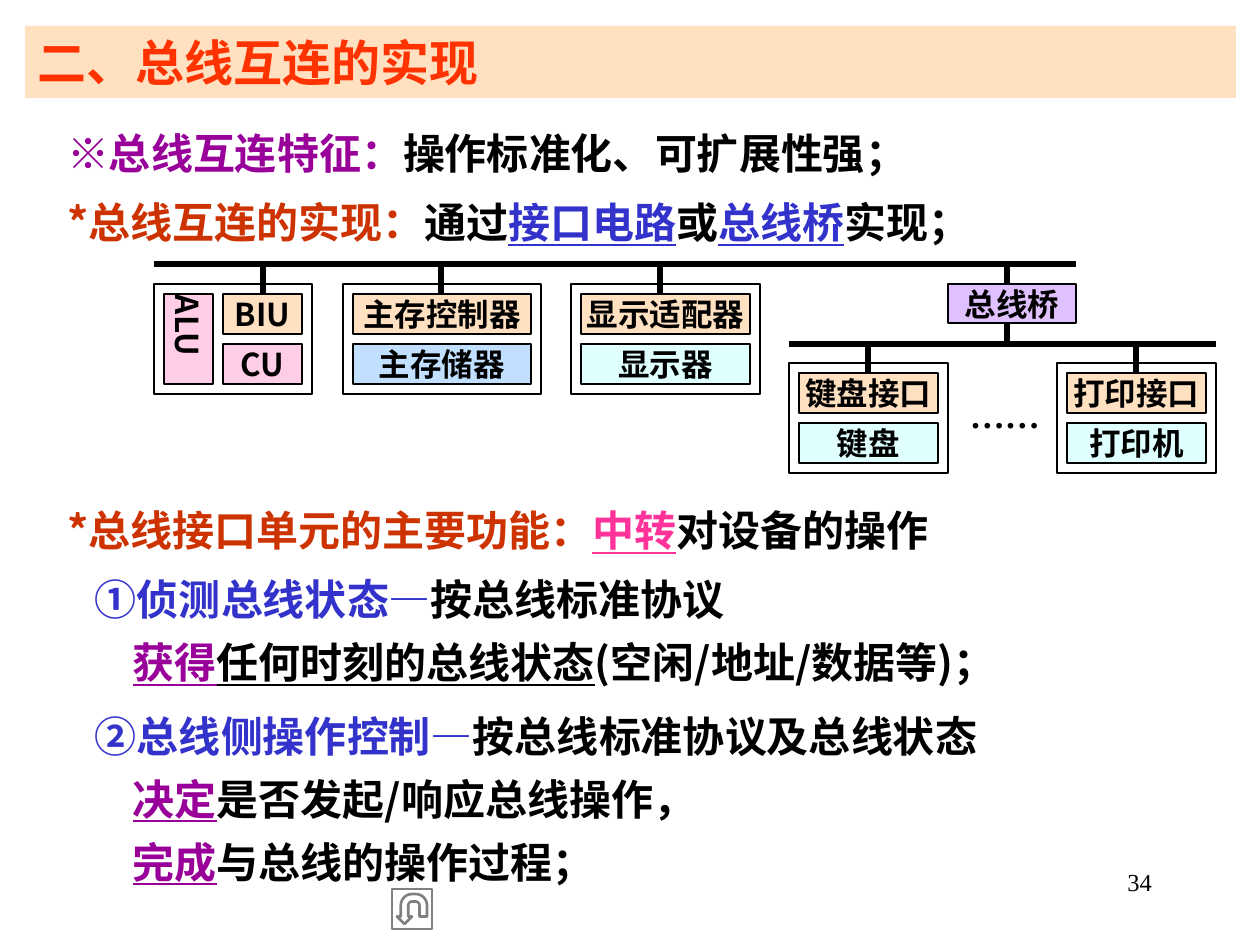
"""Build a slide on how bus interconnection is implemented."""
from pptx import Presentation
from pptx import util as u
from pptx.dml.color import RGBColor
from pptx.enum import shapes, text
from pptx.oxml import ns
from lxml import etree

PX = 914400 // 126
SANS, SERIF = "Noto Sans CJK SC", "Times New Roman"
BLACK, BLUE, PURPLE, RUST = "000000", "3333CC", "990099", "CC3300"
PEACH, PINK, AQUA, SKY, LILAC = "FFCC99", "FF99CC", "CCFFFF", "99CCFF", "CC99FF"
MIDDLE, TOP = text.MSO_ANCHOR.MIDDLE, text.MSO_ANCHOR.TOP
LEFT, CENTER, RIGHT = text.PP_ALIGN.LEFT, text.PP_ALIGN.CENTER, text.PP_ALIGN.RIGHT


def paint(fill, color, opacity=100):
    fill.solid()
    fill.fore_color.rgb = RGBColor.from_string(color)
    if opacity < 100:
        tint = fill._xPr.find(".//" + ns.qn("a:srgbClr"))
        etree.SubElement(tint, ns.qn("a:alpha")).set("val", str(opacity * 1000))


def write(box, lines, size, font=SANS, bold=True, align=LEFT, anchor=TOP,
          inset=(13, 6), spacing=None):
    """Fill a box with lines of (indent px, space before pt, [(text, colour, underline)])."""
    frame = box.text_frame
    frame.word_wrap = True
    frame.auto_size = text.MSO_AUTO_SIZE.NONE
    frame.vertical_anchor = anchor
    frame.margin_left = frame.margin_right = inset[0] * PX
    frame.margin_top = frame.margin_bottom = inset[1] * PX
    for number, (indent, before, spans) in enumerate(lines):
        para = frame.add_paragraph() if number else frame.paragraphs[0]
        para.alignment = align
        para.space_before = u.Pt(before)
        if spacing:
            para.line_spacing = u.Pt(spacing)
        props = para._p.get_or_add_pPr()
        props.set("marL", str(indent * PX))
        props.set("indent", "0")
        etree.SubElement(props, ns.qn("a:buNone"))
        for words, color, underline in spans:
            span = para.add_run()
            span.text = words
            span.font.size = u.Pt(size)
            span.font.bold = bold
            span.font.underline = underline
            span.font.name = font
            paint(span.font.fill, color)
            etree.SubElement(span.font._element, ns.qn("a:ea")).set("typeface", font)


deck = Presentation()
deck.slide_width, deck.slide_height = u.Inches(10), u.Inches(7.5)
page = deck.slides.add_slide(deck.slide_layouts[3])
title, features, functions = page.placeholders

for box, top, height in ((title, 26, 72), (features, 106, 145), (functions, 483, 407)):
    box.left, box.top, box.width, box.height = (n * PX for n in (25, top, 1211, height))

paint(title.fill, PEACH, 60)
write(title, [(0, 0, [("二、总线互连的实现", "FF3300", False)])], 28, anchor=MIDDLE)

write(features, [
    (29, 0, [("※总线互连特征：", PURPLE, False), ("操作标准化、可扩展性强；", BLACK, False)]),
    (29, 3.6, [("*总线互连的实现：", RUST, False), ("通过", BLACK, False),
               ("接口电路", BLUE, True), ("或", BLACK, False),
               ("总线桥", BLUE, True), ("实现；", BLACK, False)]),
], 24, inset=(13, 9), spacing=36)

write(functions, [
    (29, 0, [("*总线接口单元的主要功能：", RUST, False), ("中转", "FF3399", True),
             ("对设备的操作", BLACK, False)]),
    (57, 3.6, [("①侦测总线状态—", BLUE, False), ("按总线标准协议", BLACK, False)]),
    (95, 0, [("获得", PURPLE, True), ("任何时刻的总线状态", BLACK, True),
             ("(空闲/地址/数据等)；", BLACK, False)]),
    (57, 5.8, [("②总线侧操作控制—", BLUE, False),
               ("按总线标准协议及总线状态", BLACK, False)]),
    (95, 0, [("决定", PURPLE, True), ("是否发起/响应总线操作，", BLACK, False)]),
    (95, 0, [("完成", PURPLE, True), ("与总线的操作过程；", BLACK, False)]),
], 24, inset=(13, 9), spacing=36)

frames = [(154, 284, 158), (343, 284, 198), (571, 284, 189), (789, 363, 159), (1057, 363, 159)]
devices = [
    (213, 284, 99, "BIU", "CU", PINK),
    (343, 284, 198, "主存控制器", "主存储器", SKY),
    (571, 284, 189, "显示适配器", "显示器", AQUA),
    (789, 363, 159, "键盘接口", "键盘", AQUA),
    (1057, 363, 159, "打印接口", "打印机", AQUA),
]
blocks = [(left, top, width, 110, "", None, 100) for left, top, width in frames]
blocks += [(164, 294, 49, 90, "ALU", PINK, 49), (948, 284, 128, 39, "总线桥", LILAC, 60)]
for left, top, width, interface, device, color in devices:
    blocks.append((left + 10, top + 10, width - 20, 40, interface, PEACH, 60))
    blocks.append((left + 10, top + 60, width - 20, 40, device, color,
                   49 if color == PINK else 60))

for left, top, width, height, label, color, opacity in blocks:
    box = page.shapes.add_shape(shapes.MSO_SHAPE.RECTANGLE,
                                *(n * PX for n in (left, top, width, height)))
    box.shadow.inherit = False
    paint(box.line.fill, BLACK)
    box.line.width = u.Pt(1.5)
    if color:
        paint(box.fill, color, opacity)
        write(box, [(0, 0, [(label, BLACK, False)])], 18, align=CENTER,
              anchor=MIDDLE, inset=(2, 1))
    else:
        box.fill.background()
    if label == "ALU":
        box.text_frame._bodyPr.set("vert", "eaVert")

wires = [(154, 264, 1076, 264), (789, 344, 1216, 344), (1007, 264, 1007, 284),
         (1007, 324, 1007, 344)]
wires += [(x, 264, x, 294) for x in (263, 441, 660)]
wires += [(x, 344, x, 373) for x in (868, 1136)]
for ends in wires:
    wire = page.shapes.add_connector(shapes.MSO_CONNECTOR.STRAIGHT, *(n * PX for n in ends))
    paint(wire.line.fill, BLACK)
    wire.line.width = u.Pt(3)
    etree.SubElement(wire._element.spPr, ns.qn("a:effectLst"))

dots = page.shapes.add_textbox(*(n * PX for n in (968, 393, 100, 49)))
write(dots, [(0, 0, [("……", BLACK, False)])], 20, font=SERIF, inset=(2, 1))

number = page.shapes.add_textbox(*(n * PX for n in (903, 861, 262, 63)))
write(number, [(0, 0, [("34", BLACK, False)])], 14, font=SERIF, bold=False, align=RIGHT)

button = page.shapes.add_shape(shapes.MSO_SHAPE.ACTION_BUTTON_RETURN,
                               *(n * PX for n in (392, 889, 40, 40)))
button.shadow.inherit = False
button.rotation = 180
button.fill.background()
paint(button.line.fill, "808080")
button.line.width = u.Pt(1.5)

deck.save("out.pptx")
